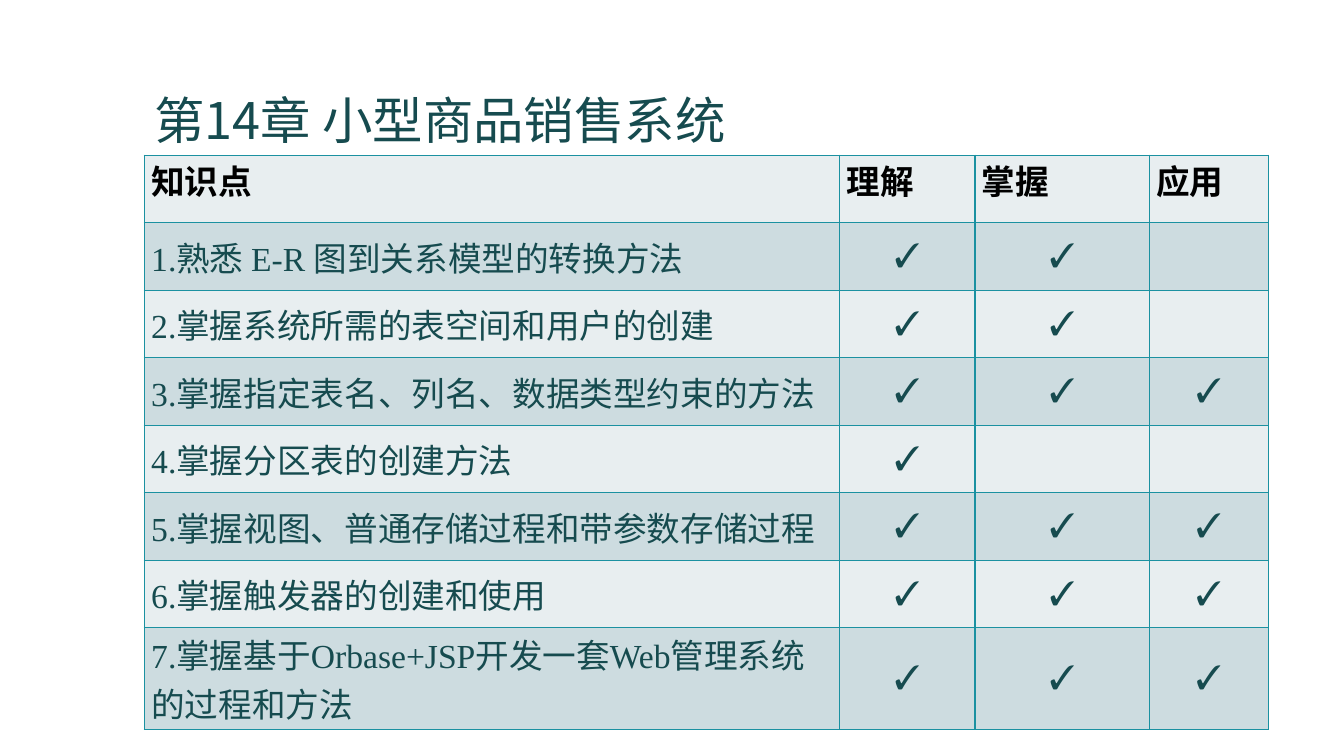
from lxml.etree import SubElement
from pptx import Presentation
from pptx.dml.color import RGBColor
from pptx.enum.text import MSO_ANCHOR as Anchor, MSO_AUTO_SIZE as AutoSize, PP_ALIGN as Align
from pptx.oxml import parse_xml
from pptx.oxml.ns import nsdecls, qn
from pptx.util import Inches, Pt

# Content
TITLE = "第14章 小型商品销售系统"
HEADERS = ("知识点", "理解", "掌握", "应用")
TOPICS = [  # topic, number of levels reached
    ("1.熟悉 E-R 图到关系模型的转换方法", 2),
    ("2.掌握系统所需的表空间和用户的创建", 2),
    ("3.掌握指定表名、列名、数据类型约束的方法", 3),
    ("4.掌握分区表的创建方法", 1),
    ("5.掌握视图、普通存储过程和带参数存储过程", 3),
    ("6.掌握触发器的创建和使用", 3),
    ("7.掌握基于Orbase+JSP开发一套Web管理系统的过程和方法", 3),
]
TICK = "✓"

# Format
SANS, SERIF = "Noto Sans CJK SC", "Times New Roman"
TEAL, BLACK, BORDER = "164B4F", "000000", "1B91A1"
BANDS = ("E8EEF0", "CDDCE0")
TITLE_FORMAT = {"size": Pt(36), "name": SANS, "bold": False}
HEADER_FORMAT = {"size": Pt(24), "name": SANS, "bold": True}
TOPIC_FORMAT = {"size": Pt(24), "name": SERIF, "bold": False}
LEFT, TABLE_TOP, ROW_HEIGHT = 1.43, 1.54, 0.67
COLUMN_WIDTHS = (6.9, 1.34, 1.73, 1.18)


def color(value):
    return RGBColor.from_string(value)


def write(frame, text, font_format, text_color, align=Align.LEFT):
    para = frame.paragraphs[0]
    para.alignment = align
    span = para.add_run()
    span.text = text
    for name, value in font_format.items():
        setattr(span.font, name, value)
    span.font.color.rgb = color(text_color)
    SubElement(span.font._element, qn("a:ea"), typeface=SANS)
    return para


def add_borders(cell):
    properties = cell._tc.get_or_add_tcPr()
    for index, side in enumerate(("lnL", "lnR", "lnT", "lnB")):
        properties.insert(index, parse_xml(
            f'<a:{side} {nsdecls("a")} w="{Pt(1)}"><a:solidFill>'
            f'<a:srgbClr val="{BORDER}"/></a:solidFill></a:{side}>'))


deck = Presentation()
deck.slide_width, deck.slide_height = Inches(13.33), Inches(7.5)
page = deck.slides.add_slide(deck.slide_layouts[5])

# Title
title = page.shapes.title
title.left, title.top = Inches(LEFT), Inches(0.29)
title.width, title.height = Inches(10.5), Inches(1.25)
title.text_frame.auto_size = AutoSize.NONE
title.text_frame.vertical_anchor = Anchor.BOTTOM
write(title.text_frame, TITLE, TITLE_FORMAT, TEAL).line_spacing = 0.9

# Table of topics and levels
rows = [HEADERS] + [
    (topic, *(TICK if level < reached else "" for level in range(3)))
    for topic, reached in TOPICS]
table = page.shapes.add_table(
    len(rows), len(HEADERS), Inches(LEFT), Inches(TABLE_TOP),
    Inches(sum(COLUMN_WIDTHS)), Inches(ROW_HEIGHT * len(rows))).table
for column, width in zip(table.columns, COLUMN_WIDTHS):
    column.width = Inches(width)

for row_index, row in enumerate(rows):
    table.rows[row_index].height = Inches(ROW_HEIGHT)
    is_header = row_index == 0
    for column_index, text in enumerate(row):
        cell = table.cell(row_index, column_index)
        cell.fill.solid()
        cell.fill.fore_color.rgb = color(BANDS[row_index % 2])
        add_borders(cell)
        cell.margin_left = cell.margin_right = Inches(0.07)
        cell.margin_top = cell.margin_bottom = Inches(0 if is_header else 0.02)
        cell.vertical_anchor = Anchor.TOP if is_header else Anchor.MIDDLE
        if is_header:
            write(cell.text_frame, text, HEADER_FORMAT, BLACK)
        elif text:
            write(cell.text_frame, text, TOPIC_FORMAT, TEAL,
                  Align.CENTER if column_index else Align.LEFT)

deck.save("out.pptx")
